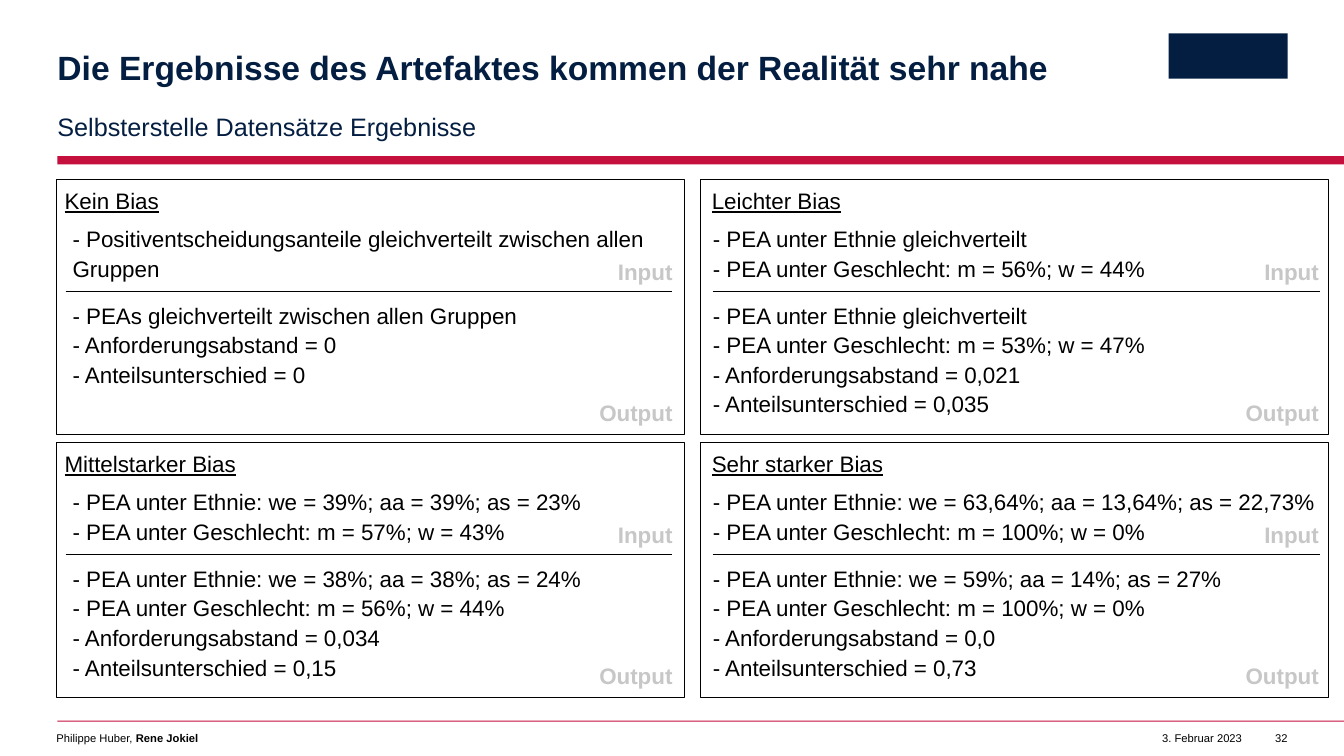
from dataclasses import dataclass

from lxml import etree
from pptx import Presentation
from pptx.dml.color import RGBColor
from pptx.enum.shapes import MSO_CONNECTOR, MSO_SHAPE
from pptx.enum.text import MSO_ANCHOR, PP_ALIGN
from pptx.oxml.ns import qn
from pptx.slide import Slide
from pptx.text.text import _Run
from pptx.util import Inches, Pt


@dataclass(frozen=True)
class Theme:
    font: str = "Arial"
    navy: str = "041E42"
    red: str = "C50F3C"
    black: str = "000000"
    grey: str = "C7C7C7"
    title_size: int = 24
    subtitle_size: int = 18
    body_size: int = 16
    footer_size: int = 8
    outline: int = 1


THEME = Theme()


@dataclass(frozen=True)
class Style:
    size: int
    color: str = THEME.black
    bold: bool = False
    underline: bool = False
    align: PP_ALIGN = PP_ALIGN.LEFT
    anchor: MSO_ANCHOR = MSO_ANCHOR.TOP
    spacing: float = 1.0


TITLE = Style(THEME.title_size, THEME.navy, bold=True, anchor=MSO_ANCHOR.MIDDLE, spacing=0.9)
SUBTITLE = Style(THEME.subtitle_size, THEME.navy, anchor=MSO_ANCHOR.MIDDLE, spacing=1.1)
HEADING = Style(THEME.body_size, underline=True, spacing=1.1)
ITEMS = Style(THEME.body_size, spacing=1.1)
TAG = Style(THEME.body_size, THEME.grey, bold=True, align=PP_ALIGN.RIGHT, spacing=1.1)
FOOTER = Style(THEME.footer_size)
FOOTER_BOLD = Style(THEME.footer_size, bold=True)
FOOTER_RIGHT = Style(THEME.footer_size, align=PP_ALIGN.RIGHT)


@dataclass(frozen=True)
class Box:
    left: float
    top: float
    width: float
    height: float

    def lengths(self) -> tuple[Inches, ...]:
        return tuple(Inches(v) for v in (self.left, self.top, self.width, self.height))


@dataclass(frozen=True)
class Column:
    left: float
    heading_left: float
    items_left: float
    items_width: float
    rule_left: float
    tag_left: float


@dataclass(frozen=True)
class Panel:
    heading: str
    inputs: tuple[str, ...]
    outputs: tuple[str, ...]


COLUMNS = (
    Column(0.56, 0.64, 0.72, 5.8, 0.65, 4.98),
    Column(6.95, 7.06, 7.07, 6.12, 7.07, 11.39),
)
PANEL_TOP, PANEL_PITCH = 1.78, 2.61
PANEL_WIDTH, PANEL_HEIGHT = 6.23, 2.53
RULE_WIDTH, TAG_WIDTH, LINE_HEIGHT = 6.02, 1.69, 0.27

PANELS = (
    Panel(
        "Kein Bias",
        ("- Positiventscheidungsanteile gleichverteilt zwischen allen Gruppen",),
        ("- PEAs gleichverteilt zwischen allen Gruppen",
         "- Anforderungsabstand = 0",
         "- Anteilsunterschied = 0"),
    ),
    Panel(
        "Leichter Bias",
        ("- PEA unter Ethnie gleichverteilt",
         "- PEA unter Geschlecht: m = 56%; w = 44%"),
        ("- PEA unter Ethnie gleichverteilt",
         "- PEA unter Geschlecht: m = 53%; w = 47%",
         "- Anforderungsabstand = 0,021",
         "- Anteilsunterschied = 0,035"),
    ),
    Panel(
        "Mittelstarker Bias",
        ("- PEA unter Ethnie: we = 39%; aa = 39%; as = 23%",
         "- PEA unter Geschlecht: m = 57%; w = 43%"),
        ("- PEA unter Ethnie: we = 38%; aa = 38%; as = 24%",
         "- PEA unter Geschlecht: m = 56%; w = 44%",
         "- Anforderungsabstand = 0,034",
         "- Anteilsunterschied = 0,15"),
    ),
    Panel(
        "Sehr starker Bias",
        ("- PEA unter Ethnie: we = 63,64%; aa = 13,64%; as = 22,73%",
         "- PEA unter Geschlecht: m = 100%; w = 0%"),
        ("- PEA unter Ethnie: we = 59%; aa = 14%; as = 27%",
         "- PEA unter Geschlecht: m = 100%; w = 0%",
         "- Anforderungsabstand = 0,0",
         "- Anteilsunterschied = 0,73"),
    ),
)


def format_run(run: _Run, style: Style) -> None:
    run.font.name = THEME.font
    run.font.size = Pt(style.size)
    run.font.bold = style.bold
    run.font.underline = style.underline
    run.font.color.rgb = RGBColor.from_string(style.color)


def add_text(slide: Slide, box: Box, style: Style, *lines: str, bold_end: str = "") -> None:
    frame = slide.shapes.add_textbox(*box.lengths()).text_frame
    frame.margin_left = frame.margin_right = frame.margin_top = frame.margin_bottom = 0
    frame.word_wrap = True
    frame.vertical_anchor = style.anchor
    frame.text = "\n".join(lines)
    for paragraph in frame.paragraphs:
        paragraph.alignment = style.align
        paragraph.line_spacing = style.spacing
        for run in paragraph.runs:
            format_run(run, style)
    if bold_end:
        ending = frame.paragraphs[-1].add_run()
        ending.text = bold_end
        format_run(ending, FOOTER_BOLD)


def add_block(slide: Slide, box: Box, color: str) -> None:
    block = slide.shapes.add_shape(MSO_SHAPE.RECTANGLE, *box.lengths())
    block.shadow.inherit = False
    block.fill.solid()
    block.fill.fore_color.rgb = RGBColor.from_string(color)
    block.line.fill.background()


def add_frame(slide: Slide, box: Box) -> None:
    border = slide.shapes.add_shape(MSO_SHAPE.RECTANGLE, *box.lengths())
    border.shadow.inherit = False
    border.fill.background()
    border.line.color.rgb = RGBColor.from_string(THEME.black)
    border.line.width = Pt(THEME.outline)


def add_rule(slide: Slide, left: float, top: float) -> None:
    rule = slide.shapes.add_connector(
        MSO_CONNECTOR.STRAIGHT, Inches(left), Inches(top), Inches(left + RULE_WIDTH), Inches(top))
    rule.line.color.rgb = RGBColor.from_string(THEME.black)
    rule.line.width = Pt(THEME.outline)
    etree.SubElement(rule._element.spPr, qn("a:effectLst"))


def add_panel(slide: Slide, panel: Panel, column: Column, top: float) -> None:
    add_frame(slide, Box(column.left, top, PANEL_WIDTH, PANEL_HEIGHT))
    add_text(slide, Box(column.heading_left, top + 0.05, 2.89, LINE_HEIGHT), HEADING, panel.heading)
    add_rule(slide, column.rule_left, top + 1.11)
    add_text(slide, Box(column.items_left, top + 0.43, column.items_width, 0.57),
             ITEMS, *panel.inputs)
    add_text(slide, Box(column.items_left, top + 1.19, column.items_width, 1.16),
             ITEMS, *panel.outputs)
    for tag, offset in (("Input", 0.75), ("Output", 2.15)):
        add_text(slide, Box(column.tag_left, top + offset, TAG_WIDTH, LINE_HEIGHT), TAG, tag)


def main() -> None:
    deck = Presentation()
    deck.slide_width, deck.slide_height = Inches(13.33), Inches(7.5)
    slide = deck.slides.add_slide(deck.slide_layouts[6])

    # Header with a plain block in the emblem's place
    add_block(slide, Box(0.57, 1.55, 12.76, 0.08), THEME.red)
    add_block(slide, Box(11.59, 0.33, 1.18, 0.45), THEME.navy)
    add_text(slide, Box(0.57, 0.33, 10.47, 0.73), TITLE,
             "Die Ergebnisse des Artefaktes kommen der Realität sehr nahe")
    add_text(slide, Box(0.57, 1.08, 10.47, 0.31), SUBTITLE, "Selbsterstelle Datensätze Ergebnisse")

    # Two by two grid of bias levels
    for index, panel in enumerate(PANELS):
        row, column = divmod(index, len(COLUMNS))
        add_panel(slide, panel, COLUMNS[column], PANEL_TOP + row * PANEL_PITCH)

    # Footer
    add_block(slide, Box(0.57, 7.15, 12.76, 0.01), THEME.red)
    add_text(slide, Box(0.56, 7.26, 10.47, 0.13), FOOTER, "Philippe Huber, ", bold_end="Rene Jokiel")
    add_text(slide, Box(11.39, 7.26, 0.93, 0.13), FOOTER_RIGHT, "3. Februar 2023")
    add_text(slide, Box(12.56, 7.26, 0.21, 0.13), FOOTER_RIGHT, "32")

    deck.save("out.pptx")


if __name__ == "__main__":
    main()
